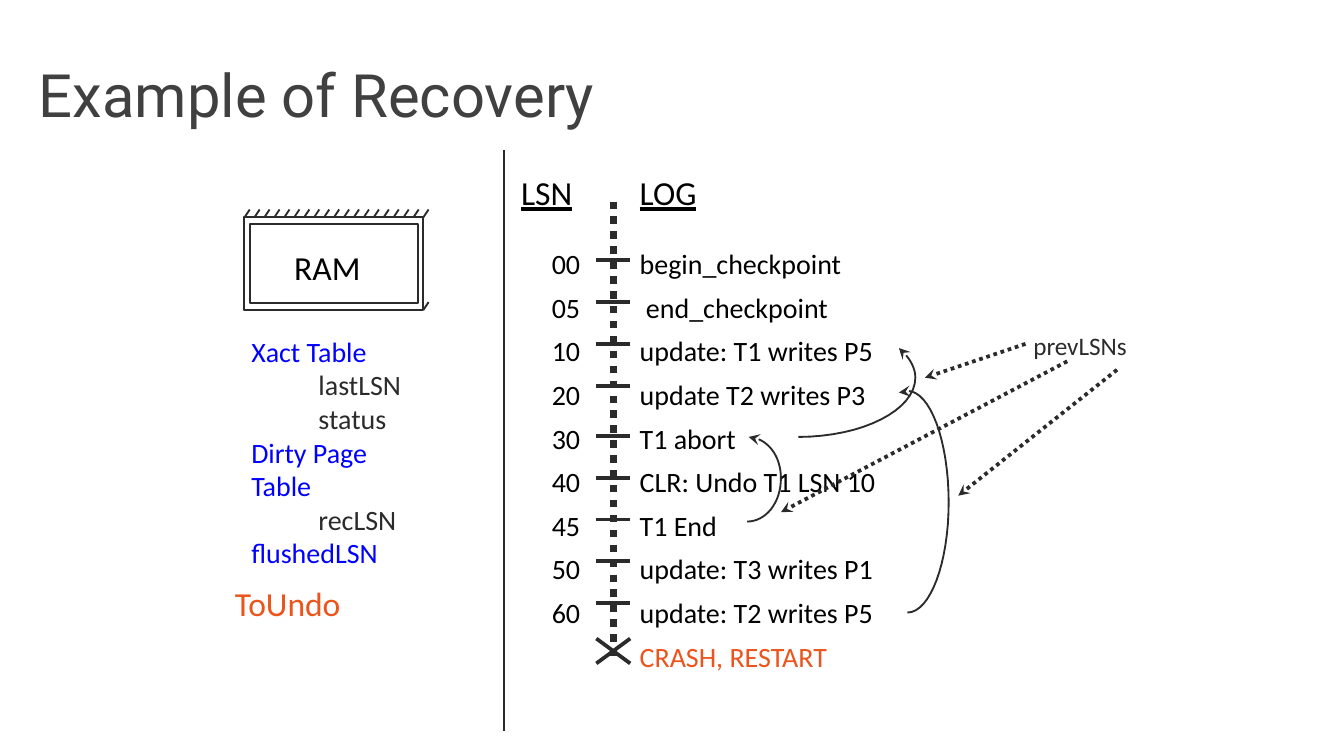
from dataclasses import dataclass

from lxml import etree
from pptx import Presentation
from pptx import util as u
from pptx.dml.color import RGBColor
from pptx.enum import dml, shapes, text
from pptx.oxml import ns


@dataclass(frozen=True)
class Theme:
    """Colours, fonts and type sizes."""
    title: str = "404040"
    ink: str = "2B2B2B"
    black: str = "000000"
    blue: str = "0000FF"
    alert: str = "EC541B"
    title_font: str = "Roboto"
    body_font: str = "Calibri"
    title_size: float = 32
    head_size: float = 18
    body_size: float = 15
    note_size: float = 13.5


@dataclass(frozen=True)
class Box:
    """A region in centimetres."""
    left: float
    top: float
    width: float
    height: float

    def inner(self, x, y, width, height):
        """Return a box placed relative to this one."""
        return Box(self.left + x, self.top + y, width, height)

    def point(self, x, y):
        """Return a point relative to this box as lengths."""
        return u.Cm(self.left + x), u.Cm(self.top + y)

    def frame(self):
        """Return left, top, width and height as lengths."""
        return [u.Cm(value) for value in (self.left, self.top, self.width, self.height)]


THEME = Theme()
RECORDS = [
    ("00", "begin_checkpoint"), ("05", " end_checkpoint"),
    ("10", "update: T1 writes P5"), ("20", "update T2 writes P3"),
    ("30", "T1 abort"), ("40", "CLR: Undo T1 LSN 10"), ("45", "T1 End"),
    ("50", "update: T3 writes P1"), ("60", "update: T2 writes P5"),
]
TABLES = [
    ("Xact Table", THEME.blue), ("\tlastLSN", THEME.ink), ("\tstatus", THEME.ink),
    ("Dirty Page Table", THEME.blue), ("\trecLSN", THEME.ink), ("flushedLSN", THEME.blue),
]
PREV_ARROWS = [((5.26, 0.35), (3.36, 0.99)), ((6.05, 0.68), (0.64, 3.53)),
               ((6.99, 0.84), (3.99, 3.22))]
PREV_CURVES = [
    [(0.03, 2.11), (0.38, 2.13), (0.64, 2.46), (0.64, 2.89),
     (0.64, 3.35), (0.36, 3.71), (0, 3.71)],
    [(2.87, 0.43), (3.08, 0.61), (3.18, 0.81), (3.18, 0.99),
     (3.18, 1.6), (2.19, 2.11), (0.97, 2.11)],
    [(2.87, 1.27), (2.92, 1.24), (2.97, 1.24), (3.03, 1.24), (3.46, 1.24),
     (3.81, 2.18), (3.81, 3.35), (3.81, 4.49), (3.46, 5.43), (3.03, 5.43)],
]


def set_font(font, name, size, color):
    """Apply name, size and colour to a font."""
    font.name, font.size = name, u.Pt(size)
    font.color.rgb = RGBColor.from_string(color)


def add_text(parent, box, lines, size, inset=0.2, tab=None, spacing=None, underline=None):
    """Add a text box with one paragraph per (words, colour) pair."""
    frame = parent.add_textbox(*box.frame()).text_frame
    frame.word_wrap = True
    frame.margin_left, frame.margin_right = u.Cm(inset), u.Cm(0.2)
    frame.margin_top = frame.margin_bottom = u.Cm(0.1)
    for index, (words, color) in enumerate(lines):
        para = frame.add_paragraph() if index else frame.paragraphs[0]
        para.add_run().text = words
        if tab:
            stops = etree.SubElement(para._p.get_or_add_pPr(), ns.qn("a:tabLst"))
            etree.SubElement(stops, ns.qn("a:tab"), pos=str(u.Cm(tab)), algn="l")
        if spacing:
            para.line_spacing = spacing
        set_font(para.font, THEME.body_font, size, color)
        para.font.underline = underline


def style_line(line, width, dotted=False, arrow=None):
    """Format a line, with an optional arrowhead at headEnd or tailEnd."""
    line.color.rgb = RGBColor.from_string(THEME.ink)
    line.width = u.Pt(width)
    if dotted:
        line.dash_style = dml.MSO_LINE.ROUND_DOT
    if arrow:
        etree.SubElement(line._get_or_add_ln(), ns.qn(f"a:{arrow}"), type="stealth")


def add_line(parent, box, start, end, width, **style):
    """Add a straight line between two points of the box."""
    line = parent.add_connector(shapes.MSO_CONNECTOR.STRAIGHT,
                                *box.point(*start), *box.point(*end))
    style_line(line.line, width, **style)
    etree.SubElement(line._element.spPr, ns.qn("a:effectLst"))


def add_outline(parent, box):
    """Add an unfilled rectangle."""
    shape = parent.add_shape(shapes.MSO_SHAPE.RECTANGLE, *box.frame())
    shape.shadow.inherit = False
    shape.fill.background()
    style_line(shape.line, 1)


def add_curve(parent, box, knots, steps=16):
    """Add a smooth curve through chained cubic control points."""
    points = [knots[0]]
    for first in range(0, len(knots) - 1, 3):
        controls = knots[first:first + 4]
        for step in range(1, steps + 1):
            t = step / steps
            weights = ((1 - t) ** 3, 3 * t * (1 - t) ** 2, 3 * t * t * (1 - t), t ** 3)
            points.append([sum(w * c[axis] for w, c in zip(weights, controls))
                           for axis in (0, 1)])
    builder = parent.build_freeform(*box.point(*points[0]))
    builder.add_line_segments([box.point(*point) for point in points[1:]], close=False)
    curve = builder.convert_to_shape()
    curve.shadow.inherit = False
    curve.fill.background()
    style_line(curve.line, 1, arrow="headEnd")


def place_title(page, box):
    """Place and format the title."""
    title = page.shapes.title
    title.left, title.top, title.width, title.height = box.frame()
    title.text_frame.text = "Example of Recovery"
    title.text_frame.vertical_anchor = text.MSO_ANCHOR.MIDDLE
    para = title.text_frame.paragraphs[0]
    para.alignment = text.PP_ALIGN.LEFT
    set_font(para.font, THEME.title_font, THEME.title_size, THEME.title)


def place_log(page, box):
    """Draw the log: records, sequence numbers and time axis."""
    parent = page.shapes
    numbers = [(number, THEME.black) for number, _ in RECORDS]
    entries = [(entry, THEME.black) for _, entry in RECORDS]
    entries.append(("CRASH, RESTART", THEME.alert))
    add_text(parent, box.inner(2.24, 1.22, 5.08, 8.53), entries, THEME.body_size, spacing=1.3)
    axis, half = 1.94, 0.32
    add_line(parent, box, (axis, 0.66), (axis, 9.25), 4, dotted=True)
    for index in range(len(RECORDS)):
        y = 1.77 + 0.79 * index + (0.16 if index >= 4 else 0)
        add_line(parent, box, (axis - half, y), (axis + half, y), 2)
    for side in (-half, half):
        add_line(parent, box, (axis + side, 8.92), (axis - side, 9.39), 2)
    add_text(parent, box.inner(0, 0, 4.37, 0.97), [("LSN\tLOG", THEME.black)],
             THEME.head_size, tab=2.24, underline=True)
    add_text(parent, box.inner(0, 1.22, 1.65, 7.7), numbers, THEME.body_size,
             inset=0.78, spacing=1.3)


def place_memory(page, box):
    """Draw the hatched RAM block."""
    parent = page.shapes.add_group_shape().shapes
    add_text(parent, box.inner(0.74, 0.46, 1.8, 0.97), [("RAM", THEME.black)], THEME.head_size)
    add_outline(parent, box)
    add_outline(parent, box.inner(0.1, 0.13, box.width - 0.2, box.height - 0.26))
    hatches = [(box.width * index / 18, 0) for index in range(19)]
    for x, y in hatches + [(box.width, box.height)]:
        add_line(parent, box, (x, y), (x + 0.1, y - 0.15), 1)


def place_tables(page, box):
    """List the tables kept in memory and the undo set."""
    add_text(page.shapes, box.inner(0.31, 0, 3.76, 4.67), TABLES, THEME.body_size, tab=1.27)
    add_text(page.shapes, box.inner(0, 4.7, 2.44, 0.97), [("ToUndo", THEME.alert)],
             THEME.head_size)


def place_links(page, box):
    """Draw the back links between records and their label."""
    parent = page.shapes.add_group_shape().shapes
    add_text(parent, box.inner(5.21, 0, 2.21, 0.76), [("prevLSNs", THEME.ink)], THEME.note_size)
    for start, end in PREV_ARROWS:
        add_line(parent, box, start, end, 2, dotted=True, arrow="tailEnd")
    for knots in PREV_CURVES:
        add_curve(parent, box, knots)


def main():
    """Build and save the deck."""
    deck = Presentation()
    deck.slide_width, deck.slide_height = u.Cm(25.4), u.Cm(14.29)
    page = deck.slides.add_slide(deck.slide_layouts[5])
    place_title(page, Box(0.48, 0.58, 24.59, 2.39))
    place_log(page, Box(9.65, 3.15, 7.32, 9.75))
    place_tables(page, Box(4.24, 6.22, 4.07, 5.67))
    add_line(page.shapes, Box(9.53, 2.84, 0, 10.98), (0, 0), (0, 10.98), 1)
    place_memory(page, Box(4.62, 4.11, 3.38, 1.75))
    place_links(page, Box(14.12, 6.15, 7.42, 5.43))
    deck.save("out.pptx")


if __name__ == "__main__":
    main()
